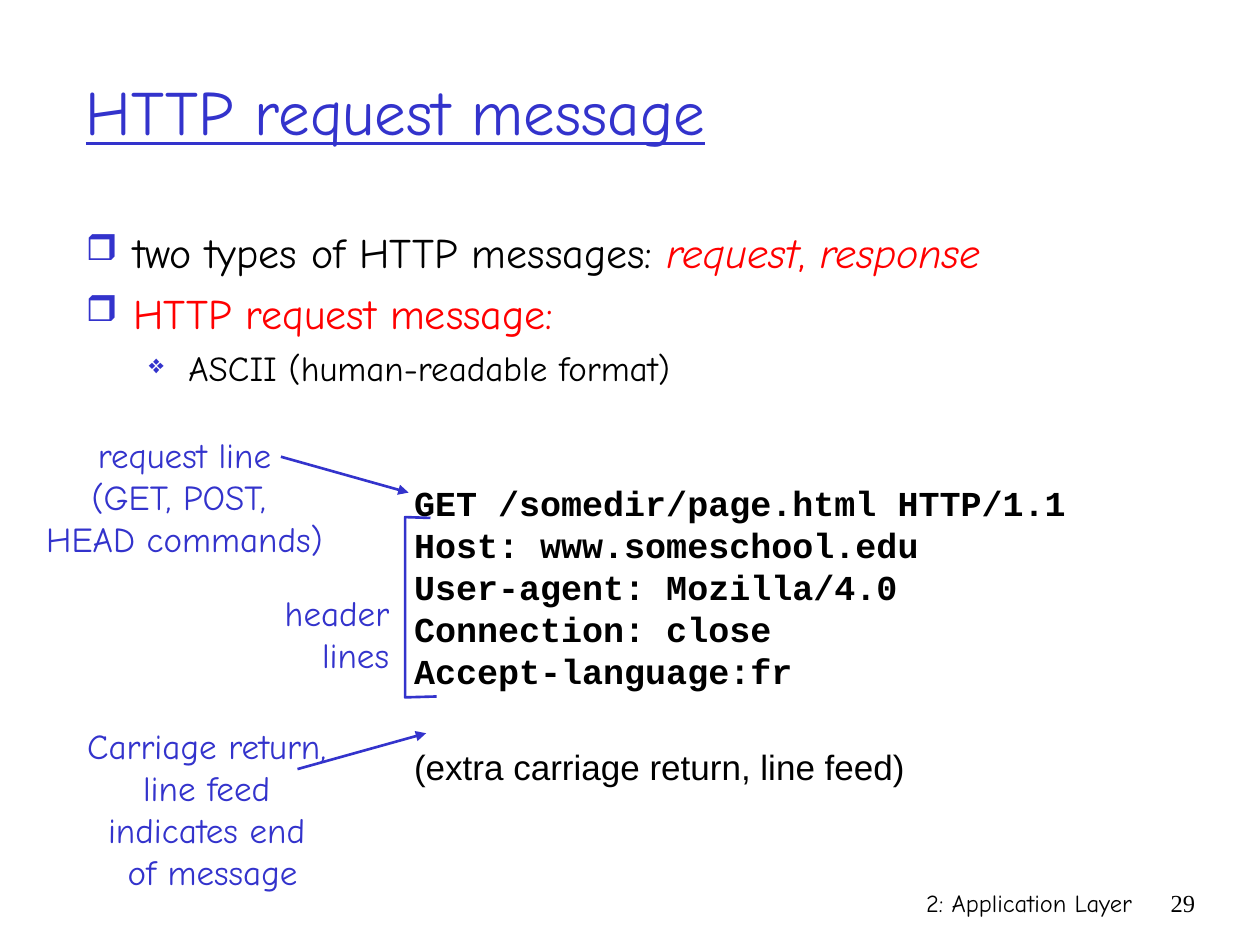
from dataclasses import dataclass

from lxml import etree
from pptx import Presentation
from pptx.dml.color import RGBColor
from pptx.enum import shapes, text
from pptx.oxml import ns
from pptx.util import Pt

LEFT, CENTER, RIGHT = text.PP_ALIGN.LEFT, text.PP_ALIGN.CENTER, text.PP_ALIGN.RIGHT


@dataclass(frozen=True)
class Theme:
    blue: str = "3333CC"
    red: str = "FF0000"
    black: str = "000000"
    hand: str = "Comic Neue"
    sans: str = "Arial"
    serif: str = "Times New Roman"
    mono: str = "Courier New"
    title: int = 36
    body: int = 24
    detail: int = 20
    footer: int = 14
    line: float = 1.5


THEME = Theme()


def add_xml(parent, tag, **attributes):
    return etree.SubElement(parent, ns.qn(tag), attributes)


class SlideBuilder:
    def __init__(self, slide, theme):
        self.slide = slide
        self.theme = theme

    def style(self, font, size, color, face=None, **flags):
        font.name = face or self.theme.hand
        font.size = Pt(size)
        font.color.rgb = RGBColor.from_string(color)
        for flag, value in flags.items():
            setattr(font, flag, value)

    def text_box(self, box, lines, size, color, align=LEFT, wrap=False,
                 anchor=text.MSO_ANCHOR.TOP, **look):
        frame = self.slide.shapes.add_textbox(*map(Pt, box)).text_frame
        frame.word_wrap = wrap
        frame.vertical_anchor = anchor
        frame.text = "\n".join(lines)
        for paragraph in frame.paragraphs:
            paragraph.alignment = align
            for run in paragraph.runs:
                self.style(run.font, size, color, **look)
        return frame

    def bullet(self, paragraph, mark, percent, margin, hanging):
        properties = paragraph._p.get_or_add_pPr()
        properties.set("marL", str(Pt(margin)))
        properties.set("indent", str(-Pt(hanging)))
        color = add_xml(properties, "a:buClr")
        add_xml(color, "a:srgbClr", val=self.theme.blue)
        add_xml(properties, "a:buSzPct", val=str(percent * 1000))
        add_xml(properties, "a:buChar", char=mark)

    def bullet_list(self, box, items):
        """Each item is a level and a list of (wording, color, italic) parts."""
        levels = [("❒", 85, 27, 27, 6, self.theme.body),
                  ("❖", 75, 58.5, 22.5, 5, self.theme.detail)]
        frame = self.slide.shapes.add_textbox(*map(Pt, box)).text_frame
        frame.word_wrap = True
        for index, (level, parts) in enumerate(items):
            paragraph = frame.add_paragraph() if index else frame.paragraphs[0]
            mark, percent, margin, hanging, before, size = levels[level]
            paragraph.level = level
            self.bullet(paragraph, mark, percent, margin, hanging)
            paragraph.space_before = Pt(before if index else 0)
            for wording, color, italic in parts:
                run = paragraph.add_run()
                run.text = wording
                self.style(run.font, size, color, italic=italic)

    def outline(self, line):
        line.color.rgb = RGBColor.from_string(self.theme.blue)
        line.width = Pt(self.theme.line)

    def arrow(self, start, end):
        connector = self.slide.shapes.add_connector(
            shapes.MSO_CONNECTOR.STRAIGHT, *map(Pt, start + end))
        self.outline(connector.line)
        add_xml(connector.line._get_or_add_ln(), "a:tailEnd", type="triangle")
        add_xml(connector._element.spPr, "a:effectLst")

    def open_path(self, start, *points):
        builder = self.slide.shapes.build_freeform(*map(Pt, start), scale=1.0)
        builder.add_line_segments([(Pt(x), Pt(y)) for x, y in points], close=False)
        path = builder.convert_to_shape()
        path.shadow.inherit = False
        path.fill.background()
        self.outline(path.line)


def main():
    deck = Presentation()
    deck.slide_width, deck.slide_height = Pt(720), Pt(540)
    theme = THEME
    page = SlideBuilder(deck.slides.add_slide(deck.slide_layouts[6]), theme)

    page.text_box((426, 504, 228, 36), ["2: Application Layer"], theme.footer,
                  theme.black, RIGHT, wrap=True)
    page.text_box((654, 504, 36, 36), ["29"], theme.footer, theme.black, RIGHT,
                  wrap=True, face=theme.serif)
    page.text_box((42, 18, 612, 90), ["HTTP request message"], theme.title, theme.blue,
                  wrap=True, anchor=text.MSO_ANCHOR.MIDDLE, underline=True)
    page.bullet_list((42, 126, 612, 366), [
        (0, [("two types of HTTP messages: ", theme.black, False),
             ("request", theme.red, True),
             (", ", theme.red, False),
             ("response", theme.red, True)]),
        (0, [("HTTP request message:", theme.red, False)]),
        (1, [("ASCII (human-readable format)", theme.black, False)]),
    ])

    message = page.text_box((229.5, 271.5, 387, 185), [
        "GET /somedir/page.html HTTP/1.1",
        "Host: www.someschool.edu",
        "User-agent: Mozilla/4.0",
        "Connection: close",
        "Accept-language:fr",
        "(extra carriage return, line feed)",
    ], theme.detail, theme.black, face=theme.mono, bold=True)
    line_feed = message.paragraphs[-1]
    line_feed.space_before = Pt(31)
    page.style(line_feed.runs[0].font, theme.detail, theme.black, theme.sans, bold=False)

    labels = [
        ((19, 244, 173, 79), CENTER, ["request line", "(GET, POST, ", "HEAD commands)"]),
        ((155.5, 334.5, 74, 55), RIGHT, ["header", "lines"]),
        ((42.5, 410.5, 158, 103), CENTER,
         ["Carriage return, ", "line feed ", "indicates end ", "of message"]),
    ]
    for box, align, lines in labels:
        page.text_box(box, lines, theme.detail, theme.blue, align)

    page.arrow((160.5, 261), (233.5, 281.5))
    page.arrow((170, 439.5), (243.5, 419))
    page.open_path((246, 296), (231.5, 295.5), (231.5, 398.5), (249.5, 398))

    deck.save("out.pptx")


if __name__ == "__main__":
    main()
